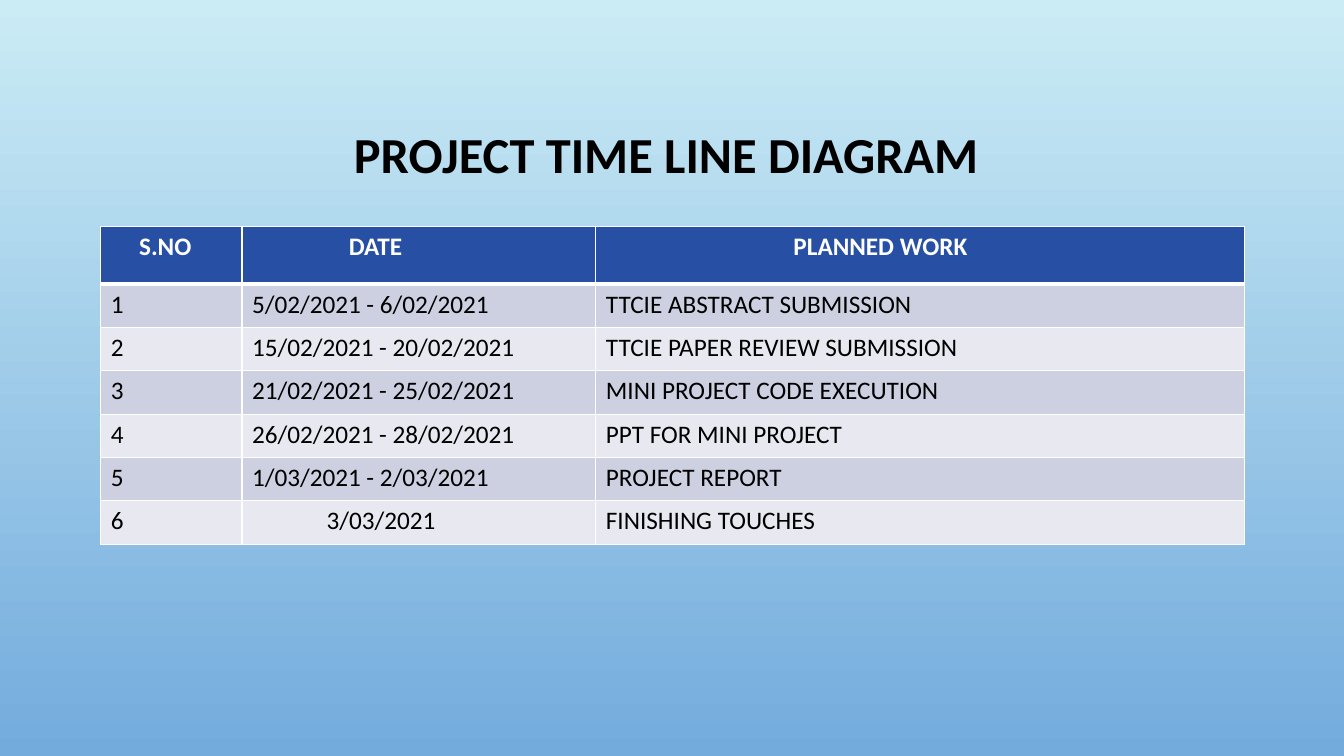
from dataclasses import dataclass

from lxml.etree import SubElement
from pptx import Presentation
from pptx.dml.color import RGBColor
from pptx.enum.text import MSO_ANCHOR, PP_ALIGN
from pptx.oxml.ns import qn
from pptx.slide import Slide
from pptx.table import _Cell
from pptx.text.text import TextFrame
from pptx.util import Inches, Pt

BLACK = RGBColor(0x00, 0x00, 0x00)
WHITE = RGBColor(0xFF, 0xFF, 0xFF)
HEADER_BLUE = RGBColor(0x27, 0x4F, 0xA4)
BAND_DARK = RGBColor(0xCD, 0xD0, 0xE0)
BAND_LIGHT = RGBColor(0xE8, 0xE9, 0xF0)
SKY_TOP = RGBColor(0xCB, 0xEC, 0xF5)
SKY_BOTTOM = RGBColor(0x73, 0xAB, 0xDD)

FONT = "Calibri"
CELL_MARGIN = 0.1
HEADER_HEIGHT = 0.57
ROW_HEIGHT = 0.43
THIN_BORDER = 1
THICK_BORDER = 3


@dataclass(frozen=True)
class Column:
    heading: str
    width: float
    indent: float


@dataclass(frozen=True)
class Task:
    dates: str
    work: str
    date_indent: float = 0


COLUMNS = [
    Column("S.NO", 1.4, 0.28),
    Column("DATE", 3.51, 0.96),
    Column("PLANNED WORK", 6.43, 1.86),
]
TASKS = [
    Task("5/02/2021 - 6/02/2021", "TTCIE ABSTRACT SUBMISSION"),
    Task("15/02/2021 - 20/02/2021", "TTCIE PAPER REVIEW SUBMISSION"),
    Task("21/02/2021 - 25/02/2021", "MINI PROJECT CODE EXECUTION"),
    Task("26/02/2021 - 28/02/2021", "PPT FOR MINI PROJECT"),
    Task("1/03/2021 - 2/03/2021", "PROJECT REPORT"),
    Task("3/03/2021", "FINISHING TOUCHES", date_indent=0.74),
]


def write_text(
    frame: TextFrame,
    text: str,
    *,
    size: float = 18,
    color: RGBColor = BLACK,
    bold: bool = False,
    align: PP_ALIGN = PP_ALIGN.LEFT,
    line_spacing: float = 1.0,
) -> None:
    frame.word_wrap = True
    paragraph = frame.paragraphs[0]
    paragraph.alignment = align
    paragraph.line_spacing = line_spacing
    run = paragraph.add_run()
    run.text = text
    run.font.name = FONT
    run.font.size = Pt(size)
    run.font.bold = bold
    run.font.color.rgb = color


def set_borders(cell: _Cell, top: float, bottom: float) -> None:
    properties = cell._tc.get_or_add_tcPr()
    widths = {"a:lnL": THIN_BORDER, "a:lnR": THIN_BORDER, "a:lnT": top, "a:lnB": bottom}
    for position, (tag, width) in enumerate(widths.items()):
        line = SubElement(properties, qn(tag), w=str(Pt(width)))
        fill = SubElement(line, qn("a:solidFill"))
        SubElement(fill, qn("a:srgbClr"), val=str(WHITE))
        properties.insert(position, line)


def fill_cell(
    cell: _Cell,
    text: str,
    *,
    fill: RGBColor,
    color: RGBColor = BLACK,
    bold: bool = False,
    indent: float = 0,
    top: float = THIN_BORDER,
    bottom: float = THIN_BORDER,
) -> None:
    cell.margin_left = Inches(CELL_MARGIN + indent)
    cell.fill.solid()
    cell.fill.fore_color.rgb = fill
    set_borders(cell, top, bottom)
    write_text(cell.text_frame, text, color=color, bold=bold)


def paint_background(slide: Slide) -> None:
    fill = slide.background.fill
    fill.gradient()
    fill.gradient_angle = 270
    for stop, position, color in zip(fill.gradient_stops, (0, 1), (SKY_TOP, SKY_BOTTOM)):
        stop.position = position
        stop.color.rgb = color


def add_title(slide: Slide, text: str) -> None:
    title = slide.shapes.add_textbox(Inches(1), Inches(0.68), Inches(11.33), Inches(1.75))
    title.text_frame.vertical_anchor = MSO_ANCHOR.MIDDLE
    write_text(title.text_frame, text, size=36, bold=True,
               align=PP_ALIGN.CENTER, line_spacing=0.9)


def add_timeline(slide: Slide) -> None:
    height = HEADER_HEIGHT + ROW_HEIGHT * len(TASKS)
    table = slide.shapes.add_table(
        len(TASKS) + 1, len(COLUMNS), Inches(1), Inches(2.25), Inches(11.33), Inches(height)
    ).table
    table.rows[0].height = Inches(HEADER_HEIGHT)
    for index, column in enumerate(COLUMNS):
        table.columns[index].width = Inches(column.width)
        fill_cell(table.cell(0, index), column.heading, fill=HEADER_BLUE, color=WHITE,
                  bold=True, indent=column.indent, bottom=THICK_BORDER)

    for number, task in enumerate(TASKS, start=1):
        table.rows[number].height = Inches(ROW_HEIGHT)
        band = BAND_DARK if number % 2 else BAND_LIGHT
        top = THICK_BORDER if number == 1 else THIN_BORDER
        entries = [(str(number), 0), (task.dates, task.date_indent), (task.work, 0)]
        for index, (text, indent) in enumerate(entries):
            fill_cell(table.cell(number, index), text, fill=band, indent=indent, top=top)


presentation = Presentation()
presentation.slide_width = Inches(13.33)
presentation.slide_height = Inches(7.5)
timeline_slide = presentation.slides.add_slide(presentation.slide_layouts[6])
paint_background(timeline_slide)
add_title(timeline_slide, "PROJECT TIME LINE DIAGRAM ")
add_timeline(timeline_slide)
presentation.save("out.pptx")
